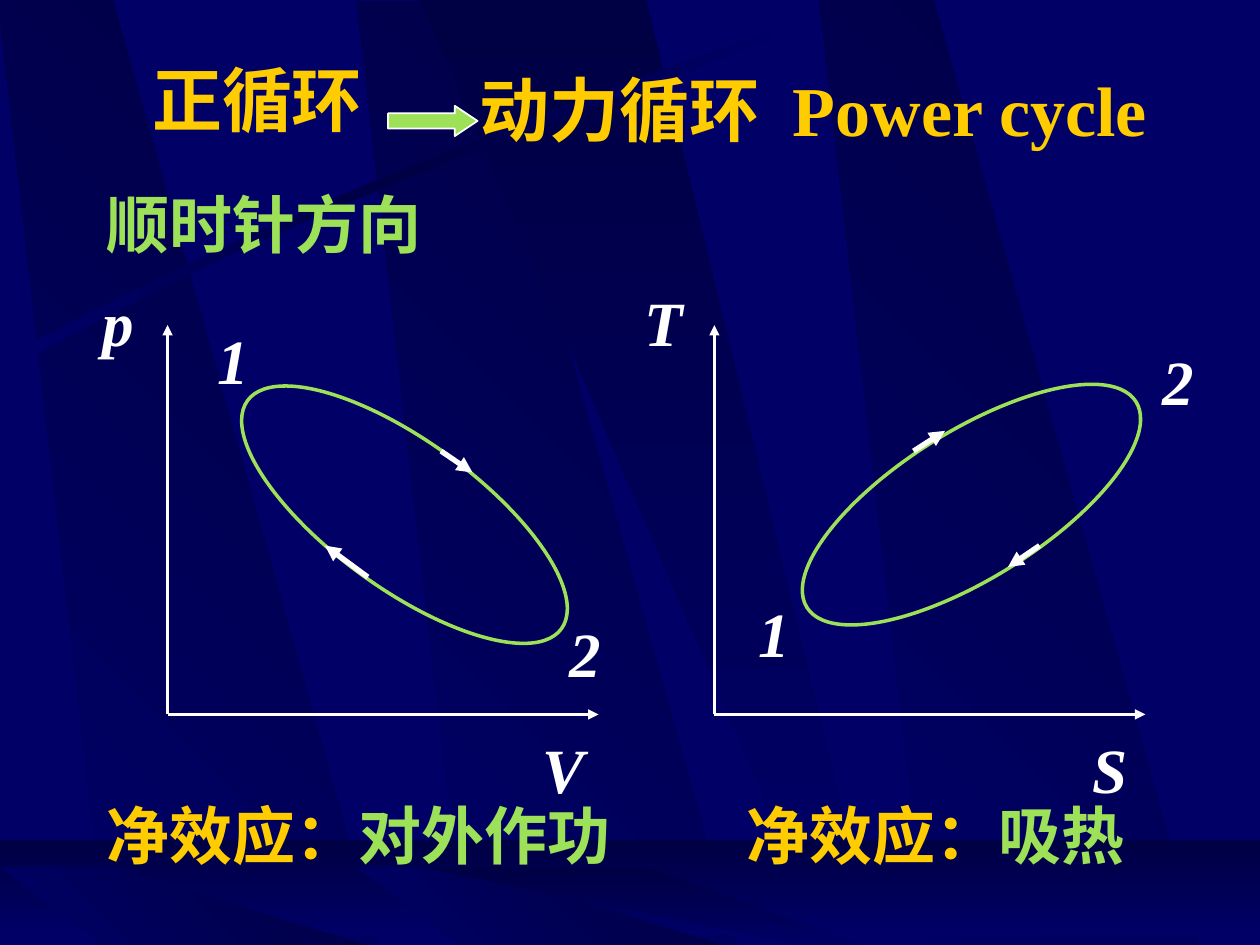
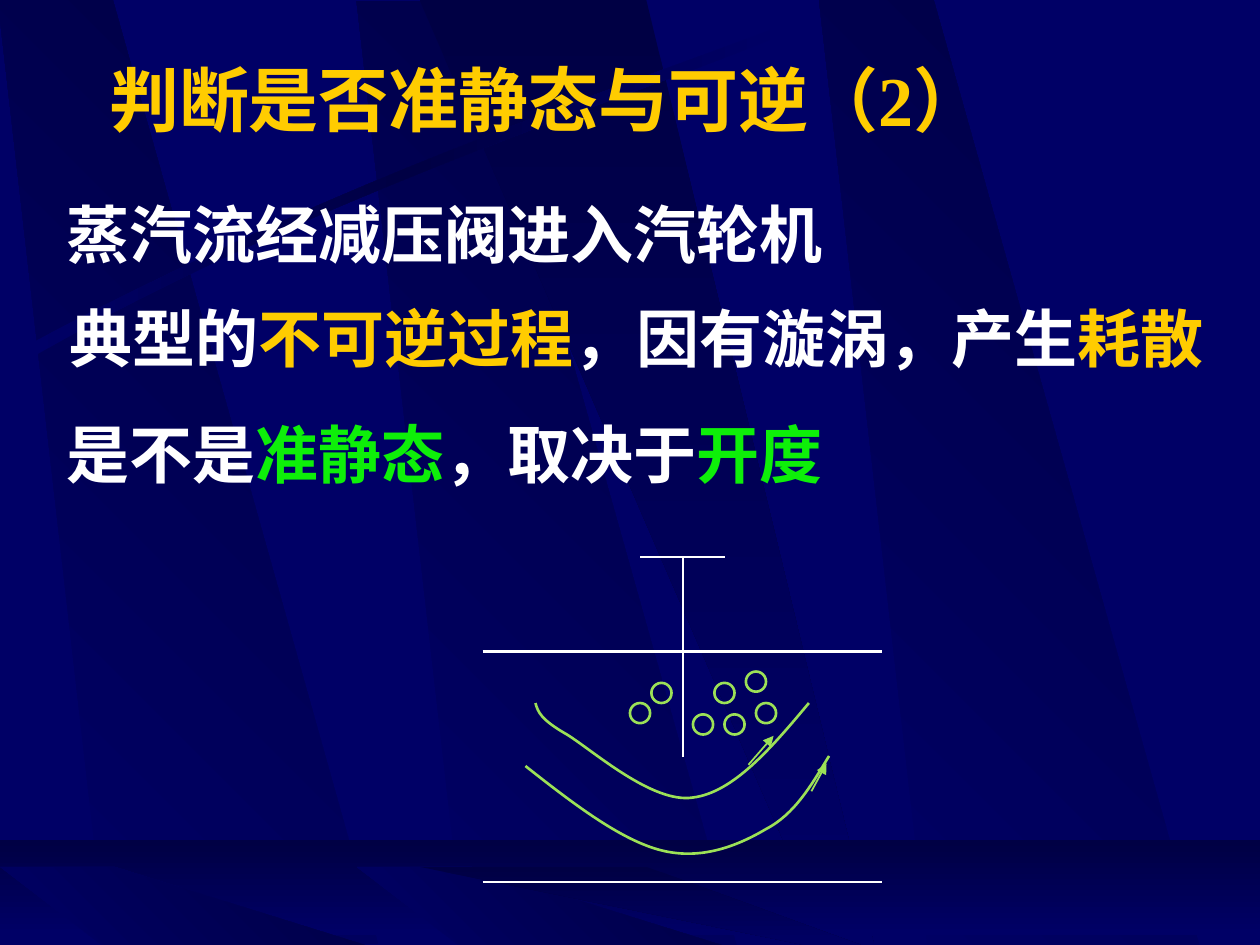
from copy import deepcopy

from lxml import etree
from pptx import Presentation
from pptx.dml.color import RGBColor
from pptx.enum.shapes import MSO_CONNECTOR, MSO_SHAPE
from pptx.enum.text import MSO_ANCHOR, MSO_AUTO_SIZE, PP_ALIGN
from pptx.oxml.ns import qn
from pptx.util import Inches, Pt

LEFT, CENTER = PP_ALIGN.LEFT, PP_ALIGN.CENTER
TOP, MIDDLE = MSO_ANCHOR.TOP, MSO_ANCHOR.MIDDLE
FIT_SHAPE = MSO_AUTO_SIZE.SHAPE_TO_FIT_TEXT
STRAIGHT = MSO_CONNECTOR.STRAIGHT
OVAL, RECTANGLE, RIGHT_ARROW = MSO_SHAPE.OVAL, MSO_SHAPE.RECTANGLE, MSO_SHAPE.RIGHT_ARROW

NAVY, DARK_NAVY = "000066", "000044"
GOLD, LIME, GREEN, WHITE = "FFCC00", "9CE157", "0EEF09", "FFFFFF"
FONT = "Times New Roman"


def color(hex_value):
    return RGBColor.from_string(hex_value)


def apply(target, **values):
    for name, value in values.items():
        setattr(target, name, value)


def box_lengths(*lengths):
    return [Inches(length) for length in lengths]


def paint(shape, fill=None, line=None, width=1.5):
    shape.shadow.inherit = False
    if fill:
        shape.fill.solid()
        shape.fill.fore_color.rgb = color(fill)
    else:
        shape.fill.background()
    if line:
        shape.line.color.rgb = color(line)
        shape.line.width = Pt(width)
    else:
        shape.line.fill.background()
    return shape


def paint_gradient(shape, colors, angle):
    paint(shape)
    shape.fill.gradient()
    shape.fill.gradient_angle = angle
    stop_list = shape.element.spPr.find(".//" + qn("a:gsLst"))
    while len(stop_list) < len(colors):
        stop_list.append(deepcopy(stop_list[0]))
    for index, (stop, hex_value) in enumerate(zip(shape.fill.gradient_stops, colors)):
        stop.color.rgb = color(hex_value)
        stop.position = index / (len(colors) - 1)
    return shape


def add_outline(slide, left, top, points, close=False, curved=False):
    corners = [box_lengths(left + x, top + y) for x, y in points]
    builder = slide.shapes.build_freeform(*corners[0])
    builder.add_line_segments(corners[1:], close=close)
    outline = builder.convert_to_shape()
    if curved:
        segments = list(outline.element.iter(qn("a:lnTo")))
        for start in range(0, len(segments), 3):
            curve = etree.Element(qn("a:cubicBezTo"))
            segments[start].addprevious(curve)
            for segment in segments[start:start + 3]:
                curve.append(segment[0])
                segment.getparent().remove(segment)
    return outline


def add_line(slide, start, end, hex_value=WHITE, width=1.5, arrow=False):
    line = slide.shapes.add_connector(STRAIGHT, *box_lengths(*start, *end))
    line.line.color.rgb = color(hex_value)
    line.line.width = Pt(width)
    if arrow:
        etree.SubElement(line.line._get_or_add_ln(), qn("a:tailEnd"), type="triangle")
    etree.SubElement(line.element.spPr, qn("a:effectLst"))


def add_ellipse(slide, left, top, width, height, line_width=1.5, rotation=0):
    ellipse = slide.shapes.add_shape(OVAL, *box_lengths(left, top, width, height))
    paint(ellipse, line=LIME, width=line_width).rotation = rotation


def write(shape, runs, size=36, align=LEFT, anchor=TOP, wrap=True, italic=False):
    frame = shape.text_frame
    apply(frame, word_wrap=wrap, vertical_anchor=anchor, auto_size=FIT_SHAPE)
    paragraph = frame.paragraphs[0]
    paragraph.alignment = align
    for text, hex_value in runs:
        run = paragraph.add_run()
        run.text = text
        apply(run.font, name=FONT, size=Pt(size), bold=True, italic=italic)
        run.font.color.rgb = color(hex_value)
    return paragraph


def add_text(slide, left, top, width, runs, height=0.7, **style):
    box = slide.shapes.add_textbox(*box_lengths(left, top, width, height))
    return write(box, runs, **style)


def add_symbol(slide, left, top, width, symbol):
    add_text(slide, left, top, width, [(symbol, WHITE)],
             align=CENTER, wrap=False, italic=True)


def set_title(slide, left, width, text):
    title = slide.shapes.title
    left, top, width, height = box_lengths(left, 0.4, width, 0.77)
    apply(title, left=left, top=top, width=width, height=height)
    write(title, [(text, GOLD)], size=40, align=CENTER, anchor=MIDDLE)


def draw_slanted_band(slide, left, top, height):
    points = [(0.86, height), (3.02, height), (0.91, 0), (0, 0)]
    band = add_outline(slide, left, top, points, close=True)
    paint_gradient(band, [NAVY, DARK_NAVY], 45)


def draw_wide_band(slide, left, top, height):
    points = [(0, 0), (3.25, height), (3.61, height), (1.8, 0)]
    band = add_outline(slide, left, top, points, close=True)
    paint_gradient(band, [DARK_NAVY, NAVY], 270)


def draw_sweep(slide, left, top):
    points = [(0, 2.57), (2.64, 1.16), (5.04, 0.41), (6.06, 0),
              (6.06, 0), (6.09, 0.06), (6.09, 0.06),
              (5.08, 0.51), (2.34, 1.33), (0.03, 2.67)]
    sweep = add_outline(slide, left, top, points, close=True, curved=True)
    paint_gradient(sweep, [NAVY, DARK_NAVY, NAVY], 0)


def draw_backdrop(slide):
    for left, top in [(2.83, 0.01), (-0.02, -0.02), (6.5, 0)]:
        draw_slanted_band(slide, left, top, 7.51)
    draw_wide_band(slide, 3.33, 0, 7.51)
    draw_sweep(slide, 0.2, 0.18)
    floor = slide.shapes.add_shape(RECTANGLE, *box_lengths(0, 6.67, 10, 0.75))
    paint_gradient(floor, [DARK_NAVY, NAVY], 270)
    for left in (2.83, 0):
        draw_slanted_band(slide, left, 6.88, 0.66)
    draw_wide_band(slide, 3.33, 6.88, 0.66)


def share_backdrop(slide, layout):
    layout.slide_master.background.fill.solid()
    layout.slide_master.background.fill.fore_color.rgb = color(NAVY)
    draw_backdrop(slide)
    backdrop = [part for part in slide.shapes if not part.is_placeholder]
    for index, part in enumerate(backdrop):
        part.element.nvSpPr.cNvPr.set("id", str(100 + index))
        layout.shapes.element.insert(2 + index, part.element)


def draw_cycle(slide, left, top, symbols, loop, rotation, arrows, caption):
    width, height = 3.42, 3.09
    origin = (left, top + height)
    add_line(slide, origin, (left + width, top + height), arrow=True)
    add_line(slide, origin, (left, top), arrow=True)
    for symbol, x, y, symbol_width in symbols:
        add_symbol(slide, left + x, top + y, symbol_width, symbol)
    add_ellipse(slide, left + loop[0], top + loop[1], 3.08, 1.17, 2, rotation)
    for x1, y1, x2, y2 in arrows:
        add_line(slide, (left + x1, top + y1), (left + x2, top + y2),
                 width=3, arrow=True)
    effect, x, caption_width = caption
    add_text(slide, left + x, top + 3.69, caption_width,
             [("净效应：", GOLD), (effect, LIME)])


def draw_cycle_name(slide, left, top):
    name = add_text(slide, left + 0.63, top, 5.98,
                    [("动力循环", GOLD), (" ", GOLD), ("Power cycle", GOLD)],
                    height=0.77, size=40)
    name.runs[1].font._element.set("spc", "1000")
    arrow = slide.shapes.add_shape(
        RIGHT_ARROW, *box_lengths(left, top + 0.36, 0.71, 0.24))
    arrow.adjustments[1] = 0.75
    paint(arrow, LIME, WHITE, 1)


def build_power_cycle(slide):
    set_title(slide, 0.58, 2.92, "正循环")
    add_text(slide, 0.75, 1.42, 5.33, [("顺时针方向", LIME)])
    draw_cycle(slide, 1.33, 2.58,
               symbols=[("p", -0.62, -0.38, 0.45), ("V", 2.88, 3.17, 0.53),
                        ("1", 0.3, -0.08, 0.45), ("2", 3.09, 2.25, 0.45)],
               loop=(0.34, 0.92), rotation=36,
               arrows=[(2.17, 1, 2.42, 1.17), (1.59, 2, 1.25, 1.75)],
               caption=("对外作功", -0.58, 4.58))
    draw_cycle(slide, 5.67, 2.58,
               symbols=[("T", -0.65, -0.38, 0.5), ("S", 2.9, 3.17, 0.48),
                        ("1", 0.25, 2.09, 0.45), ("2", 3.46, 0.09, 0.45)],
               loop=(0.5, 0.84), rotation=148,
               arrows=[(1.58, 1, 1.83, 0.84), (2.58, 1.75, 2.33, 1.92)],
               caption=("吸热", 0.16, 3.58))
    draw_cycle_name(slide, 3.08, 0.48)


def draw_valve(slide, left, top):
    for y in (0.75, 2.58):
        add_line(slide, (left, top + y), (left + 3.17, top + y))
    add_line(slide, (left + 1.59, top + 1.59), (left + 1.59, top))
    add_line(slide, (left + 1.25, top), (left + 1.92, top))
    upper_stream = [(0.42, 1.16), (0.44, 1.23), (0.46, 1.29), (0.67, 1.41),
                    (0.88, 1.54), (1.35, 1.96), (1.67, 1.91),
                    (1.99, 1.87), (2.29, 1.52), (2.59, 1.16)]
    lower_stream = [(0.34, 1.66), (0.72, 1.96), (1.1, 2.25), (1.42, 2.33),
                    (1.74, 2.41), (2.03, 2.29), (2.25, 2.16),
                    (2.48, 2.04), (2.61, 1.81), (2.75, 1.58)]
    for stream in (upper_stream, lower_stream):
        paint(add_outline(slide, left, top, stream, curved=True), line=LIME)
    for x, y in [(2.09, 0.91), (2.17, 1.16), (1.92, 1.25), (1.67, 1.25),
                 (1.84, 1), (1.34, 1), (1.17, 1.16)]:
        add_ellipse(slide, left + x, top + y, 0.16, 0.16)
    for x1, y1, x2, y2 in [(2.11, 1.65, 2.31, 1.42), (2.61, 1.86, 2.73, 1.64)]:
        add_line(slide, (left + x1, top + y1), (left + x2, top + y2),
                 LIME, 1, arrow=True)


def build_throttling(slide):
    set_title(slide, 0.42, 7.83, "判断是否准静态与可逆（2）")
    draw_valve(slide, 3.83, 4.42)
    add_text(slide, 0.43, 1.5, 6.2, [("蒸汽流经减压阀进入汽轮机", WHITE)], wrap=False)
    add_text(slide, 0.45, 2.33, 9.2,
             [("典型的", WHITE), ("不可逆过程", GOLD),
              ("，因有漩涡，产生", WHITE), ("耗散", GOLD)],
             align=CENTER, wrap=False)
    add_text(slide, 0.43, 3.25, 6.2,
             [("是不是", WHITE), ("准静态", GREEN),
              ("，取决于", WHITE), ("开度", GREEN)],
             align=CENTER, wrap=False)


def main():
    deck = Presentation()
    apply(deck, slide_width=Inches(10), slide_height=Inches(7.5))
    layout = deck.slide_layouts[5]
    power_cycle, throttling = [deck.slides.add_slide(layout) for _ in range(2)]
    share_backdrop(power_cycle, layout)
    build_power_cycle(power_cycle)
    build_throttling(throttling)
    deck.save("out.pptx")


if __name__ == "__main__":
    main()
